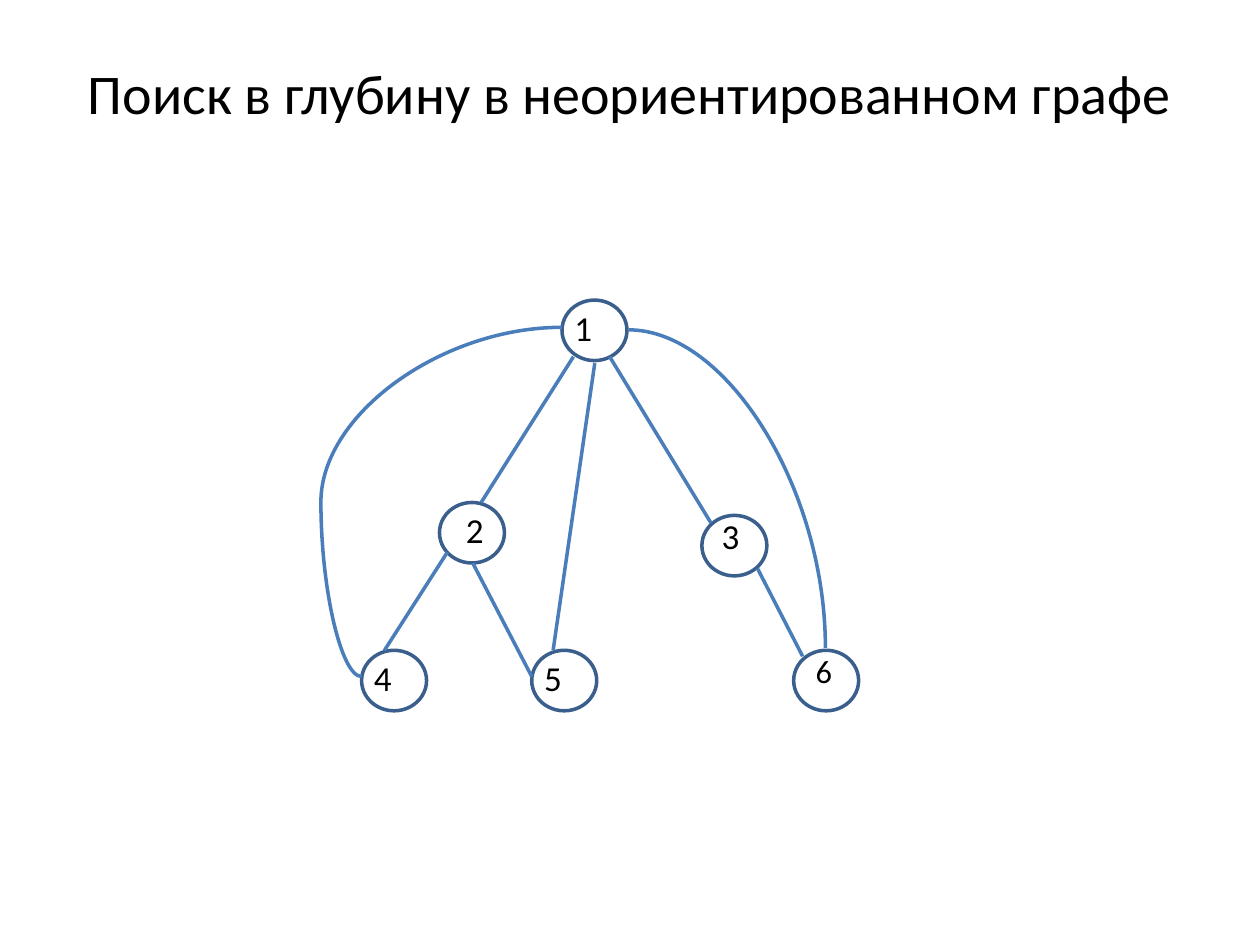
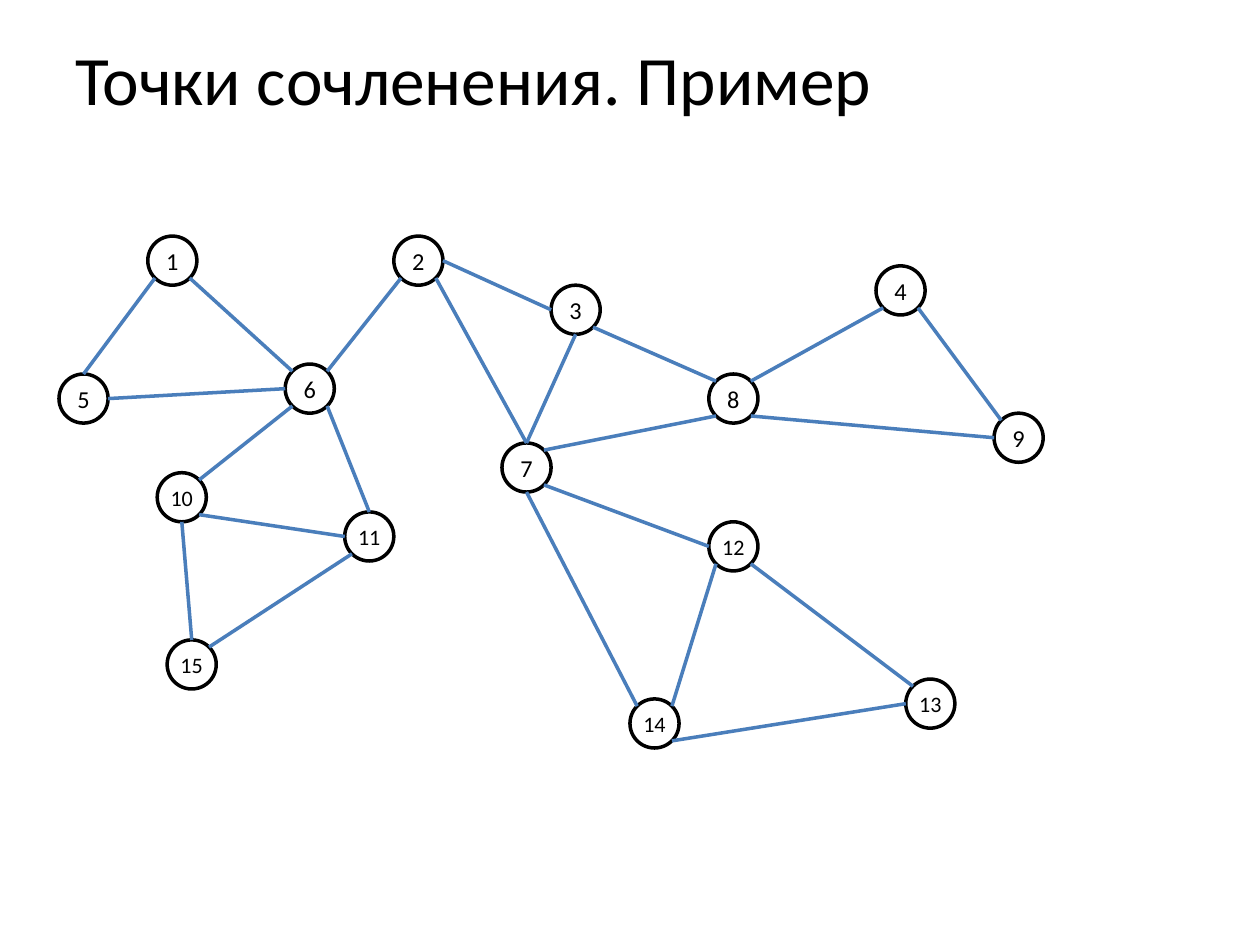
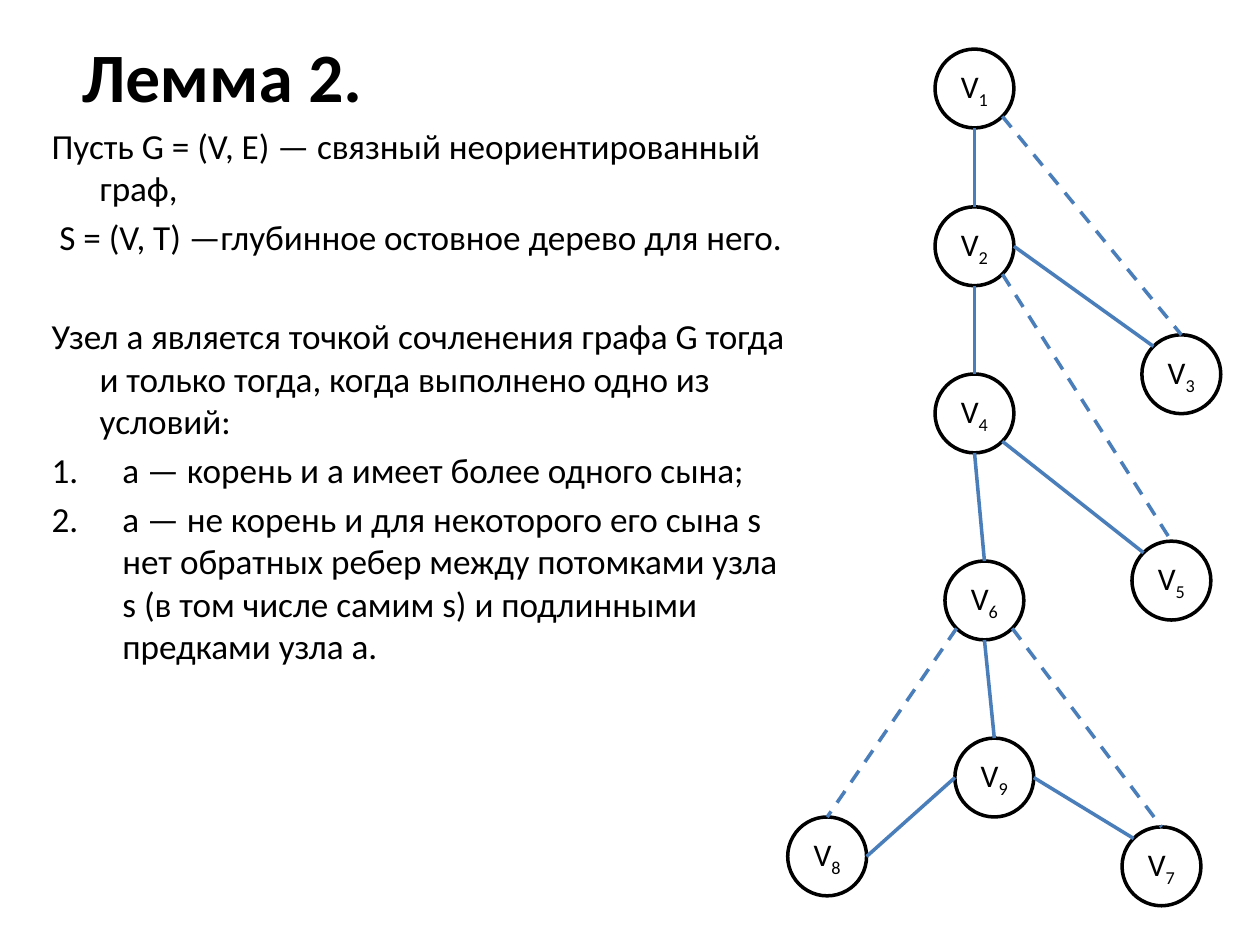
"""Build three slides on depth-first search, articulation points and Lemma 2."""
from math import cos, radians, sin

from lxml import etree
from pptx import Presentation
from pptx.dml.color import RGBColor
from pptx.enum.dml import MSO_LINE
from pptx.enum.shapes import MSO_CONNECTOR, MSO_SHAPE
from pptx.enum.text import MSO_ANCHOR, PP_ALIGN
from pptx.oxml.ns import qn
from pptx.util import Cm, Pt

OVAL = MSO_SHAPE.OVAL
STRAIGHT, CURVE = MSO_CONNECTOR.STRAIGHT, MSO_CONNECTOR.CURVE
DASH = MSO_LINE.DASH
LEFT, CENTER = PP_ALIGN.LEFT, PP_ALIGN.CENTER
TOP, MIDDLE = MSO_ANCHOR.TOP, MSO_ANCHOR.MIDDLE

color = RGBColor.from_string
FONT, BLACK, NAVY, BLUE = "Calibri", "000000", "3A5F8C", "4A7EBB"
ANGLES = {"e": 0, "se": 45, "s": 90, "sw": 135, "w": 180, "nw": 225, "n": 270, "ne": 315}


def add_span(para, text, size, bold=False):
    span = para.add_run()
    span.text = text
    span.font.color.rgb = color(BLACK)
    for name, value in {"name": FONT, "size": Pt(size), "bold": bold}.items():
        setattr(span.font, name, value)
    return span


def add_edge(page, start, end, kind=STRAIGHT, dash=None):
    edge = page.shapes.add_connector(kind, *(Cm(value) for value in (*start, *end)))
    edge.line.color.rgb = color(BLUE)
    edge.line.width = Pt(2)
    edge.line.dash_style = dash
    etree.SubElement(edge._element.spPr, qn("a:effectLst"))
    return edge


deck = Presentation()
deck.slide_width, deck.slide_height = Cm(25.4), Cm(19.05)

titles = [
    ("Поиск в глубину в неориентированном графе", (1.27, 0.76, 22.86, 2.21), 32, False, CENTER),
    ("Точки сочленения. Пример", (1.27, 0.76, 22.86, 1.63), 39.6, False, LEFT),
    ("Лемма 2.", (1.4, 0.79, 22.86, 1.42), 39.6, True, LEFT),
]
pages = []
for text, place, size, bold, align in titles:
    page = deck.slides.add_slide(deck.slide_layouts[6])
    pages.append(page)
    frame = page.shapes.add_textbox(*map(Cm, place)).text_frame
    frame.word_wrap = True
    frame.vertical_anchor = MIDDLE
    frame.paragraphs[0].alignment = align
    add_span(frame.paragraphs[0], text, size, bold)
search_page, points_page, lemma_page = pages

lemma = [
    ("Пусть G = (V, Е) — связный неориентированный граф,", 4, 0.97, False),
    (" S = (V, Т) —глубинное остовное дерево для него.", 4, 0.97, False),
    ("Узел а является точкой сочленения графа G тогда и только тогда, "
     "когда выполнено одно из условий:", 32.5, 0.97, False),
    ("а — корень и а имеет более одного сына;", 4, 1.43, True),
    ("а — не корень и для некоторого его сына s нет обратных ребер между потомками узла s "
     "(в том числе самим s) и подлинными предками узла а.", 4, 1.43, True),
]
frame = lemma_page.shapes.add_textbox(Cm(0.79), Cm(2.38), Cm(15.4), Cm(10.75)).text_frame
frame.word_wrap = True
for index, (text, gap, indent, numbered) in enumerate(lemma):
    para = frame.add_paragraph() if index else frame.paragraphs[0]
    para.space_before = Pt(gap)
    add_span(para, text, 20.1)
    layout = para._p.get_or_add_pPr()
    layout.set("marL", str(Cm(indent)))
    layout.set("indent", str(-Cm(indent)))
    if numbered:
        etree.SubElement(layout, qn("a:buAutoNum"), type="arabicPeriod")

search_nodes = {
    "4": (7.29, 13.11), "2": (8.86, 10.13), "1": (11.33, 6.05),
    "3": (14.15, 10.39), "5": (10.72, 13.11), "6": (16, 13.11),
}
point_nodes = {
    "1": (2.98, 4.76), "15": (3.37, 12.9), "5": (1.19, 7.54), "6": (5.75, 7.34),
    "11": (6.95, 10.32), "2": (7.94, 4.76), "10": (3.17, 9.53), "7": (10.12, 8.93),
    "3": (11.11, 5.75), "13": (18.26, 13.69), "12": (14.29, 10.52), "14": (12.7, 14.09),
    "4": (17.66, 5.36), "9": (20.04, 8.33), "8": (14.29, 7.54),
}
lemma_nodes = {
    "1": (18.85, 0.99), "3": (23.02, 6.75), "2": (18.85, 4.17), "4": (18.85, 7.54),
    "5": (22.82, 10.91), "6": (19.05, 11.31), "7": (22.62, 16.67), "8": (15.88, 16.47),
    "9": (19.25, 14.88),
}
point_edges = [
    "1 se 6 nw", "2 e 3 w", "5 e 6 w", "6 se 11 n", "1 sw 5 n", "2 sw 6 ne",
    "10 se 11 w", "6 sw 10 ne", "7 se 12 w", "2 se 7 n", "3 s 7 n", "3 se 8 nw",
    "11 sw 15 ne", "12 se 13 nw", "10 s 15 n", "7 ne 8 sw", "8 se 9 w", "4 se 9 nw",
    "4 sw 8 ne", "7 s 14 nw", "14 se 13 w", "12 sw 14 ne",
]
tree_edges = [
    "1 s 2 n", "2 s 4 n", "4 se 5 nw", "4 s 6 n", "6 s 9 n", "7 nw 9 e", "8 e 9 w", "2 e 3 nw",
]
back_edges = ["1 se 3 n", "2 se 5 n", "6 sw 8 n", "6 se 7 n"]

graphs = [
    (search_page, search_nodes, 1.31, 1.22, NAVY),
    (points_page, point_nodes, 0.99, 0.99, BLACK),
    (lemma_page, lemma_nodes, 1.59, 1.59, BLACK),
]
for page, nodes, width, height, outline in graphs:
    for number, (left, top) in nodes.items():
        node = page.shapes.add_shape(OVAL, Cm(left), Cm(top), Cm(width), Cm(height))
        node.shadow.inherit = False
        node.fill.background()
        node.line.color.rgb = color(outline)
        node.line.width = Pt(2)
        frame, para = node.text_frame, node.text_frame.paragraphs[0]
        if page is search_page:
            frame.vertical_anchor = TOP
            para.alignment = LEFT
            if number == "6":
                para.line_spacing = 0.6
                para.space_before = Pt(4)
                add_span(para, number, 18.5)
            continue
        for side in ("left", "top", "right", "bottom"):
            setattr(frame, f"margin_{side}", Cm(0.1))
        frame.vertical_anchor = MIDDLE
        frame.word_wrap = True
        para.alignment = CENTER
        if page is lemma_page:
            add_span(para, "V", 18)
            index_span = add_span(para, number, 18)
            index_span._r.get_or_add_rPr().set("baseline", "-25000")
        else:
            add_span(para, number, 13.9 if len(number) == 1 else 12.6)

linked = [
    (points_page, point_nodes, 0.99, point_edges, None),
    (lemma_page, lemma_nodes, 1.59, tree_edges, None),
    (lemma_page, lemma_nodes, 1.59, back_edges, DASH),
]
for page, nodes, size, edges, dash in linked:
    radius = size / 2
    for edge in edges:
        first, first_side, second, second_side = edge.split()
        ends = []
        for number, side in ((first, first_side), (second, second_side)):
            left, top = nodes[number]
            angle = radians(ANGLES[side])
            ends.append((left + radius * (1 + cos(angle)), top + radius * (1 + sin(angle))))
        add_edge(page, *ends, dash=dash)

labels = [
    ("2", 9.14, 10.13, 1.14), ("3", 14.3, 10.24, 0.87), ("1", 11.33, 6.05, 0.87),
    ("5", 10.72, 13.11, 0.87), ("4", 7.29, 13.11, 0.87),
]
for number, left, top, width in labels:
    box = search_page.shapes.add_textbox(Cm(left), Cm(top), Cm(width), Cm(1.09))
    box.text_frame.word_wrap = True
    add_span(box.text_frame.paragraphs[0], number, 20)

search_edges = [
    ((11.56, 7.19), (9.7, 10.13)), ((12.29, 7.19), (14.33, 10.54)),
    ((9.02, 11.13), (7.75, 13.11)), ((9.53, 11.35), (10.72, 13.64)),
    ((15.27, 11.46), (16.18, 13.23)), ((11.15, 13.11), (11.99, 7.32)),
]
for start, end in search_edges:
    add_edge(search_page, start, end)

left_arc = add_edge(search_page, (7.29, 13.64), (11.33, 6.6), CURVE)
geometry = left_arc._element.spPr.find(qn("a:prstGeom"))
guides = geometry.find(qn("a:avLst"))
etree.SubElement(guides, qn("a:gd"), name="adj1", fmla="val -20300")
right_arc = add_edge(search_page, (12.67, 6.65), (16.64, 13.06), CURVE)
right_arc._element.spPr.find(qn("a:prstGeom")).set("prst", "curvedConnector2")

deck.save("out.pptx")
